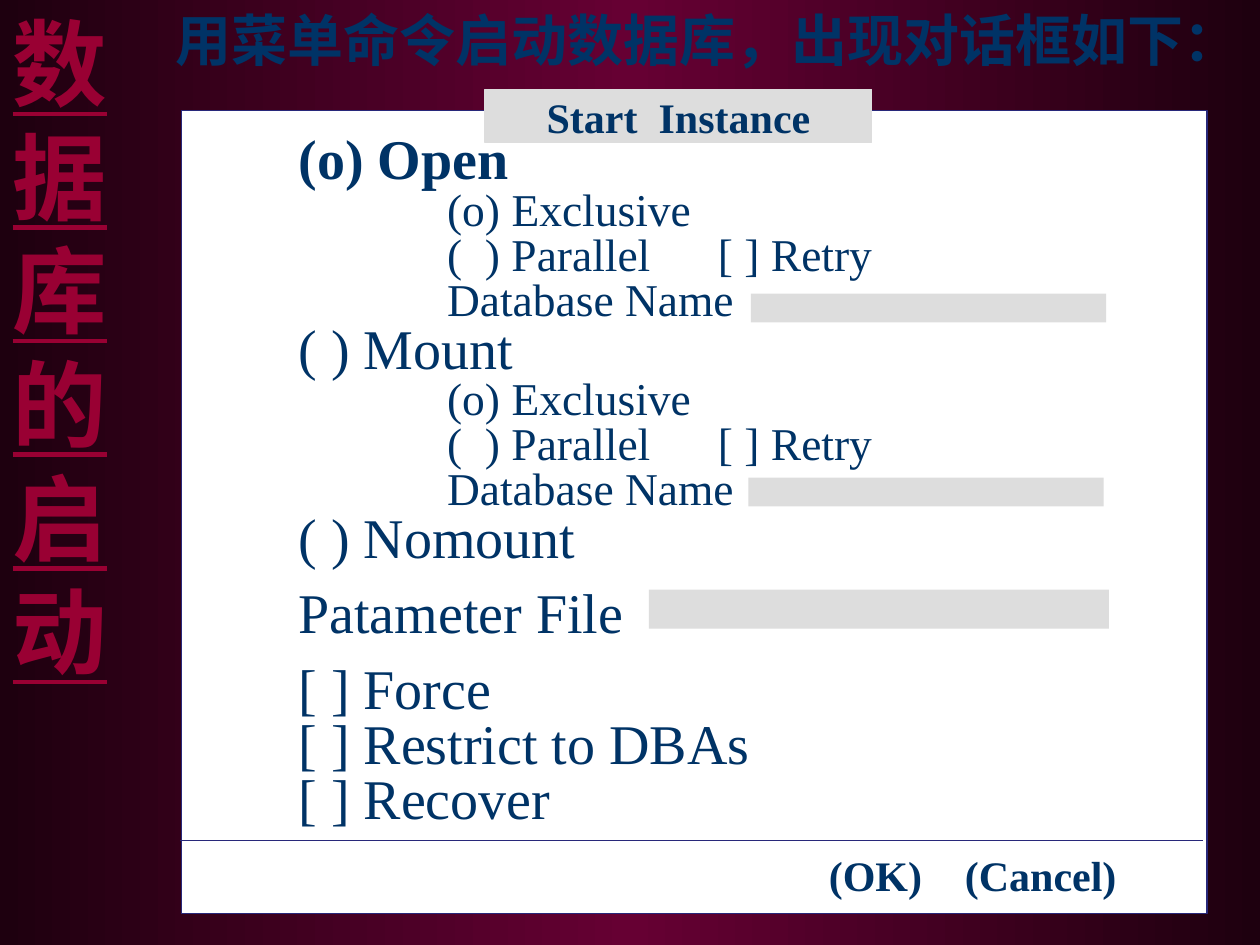
from dataclasses import dataclass

from lxml import etree
from pptx import Presentation
from pptx import util as u
from pptx.dml.color import RGBColor
from pptx.enum import shapes, text
from pptx.oxml import ns


@dataclass(frozen=True)
class Theme:
    edge: str = "1E000F"
    glow: str = "660033"
    title: str = "990033"
    ink: str = "003366"
    panel: str = "FFFFFF"
    field: str = "DDDDDD"
    rule: str = "28287A"
    cjk: str = "Noto Sans CJK SC"
    latin: str = "Times New Roman"
    title_size: float = 54
    large: float = 32
    medium: float = 26
    label: float = 24


THEME = Theme()
LINE_PITCH = {THEME.large: 31.4, THEME.medium: 25.6}
MODE_TABS = (1.18, 3.33)
MODE_OPTIONS = ["\t(o) Exclusive", "\t(  ) Parallel\t[ ] Retry", "\tDatabase Name"]


def add_node(parent, tag, **attributes):
    node = etree.SubElement(parent, ns.qn(tag))
    for name, value in attributes.items():
        node.set(name, str(value))
    return node


def paint_background(slide):
    fill = slide.background.fill
    fill.gradient()
    fill.gradient_angle = 0
    stops = slide.background._cSld.find(".//" + ns.qn("a:gsLst"))
    for stop in list(stops):
        stops.remove(stop)
    for position, color in ((0, THEME.edge), (50000, THEME.glow), (100000, THEME.edge)):
        stop = add_node(stops, "a:gs", pos=position)
        add_node(stop, "a:srgbClr", val=color)


def style(paragraph, size, color=THEME.ink, face=THEME.latin, bold=False, underline=False):
    for run in paragraph.runs:
        font = run.font
        font.name, font.size = face, u.Pt(size)
        font.bold, font.underline = bold, underline
        font.color.rgb = RGBColor.from_string(color)
        if face == THEME.cjk:
            add_node(run._r.get_or_add_rPr(), "a:ea", typeface=face)


def set_tabs(paragraph, *positions):
    tabs = add_node(paragraph._p.get_or_add_pPr(), "a:tabLst")
    for position in positions:
        add_node(tabs, "a:tab", pos=u.Inches(position), algn="l")


def place(holder, left, top, width, height):
    holder.left, holder.top = u.Inches(left), u.Inches(top)
    holder.width, holder.height = u.Inches(width), u.Inches(height)


def fill_title(title):
    place(title, 0, 0, 1.04, 5.48)
    frame = title.text_frame
    frame.text = "\v".join("数据库的启动")
    frame.auto_size = text.MSO_AUTO_SIZE.NONE
    frame.vertical_anchor = text.MSO_ANCHOR.TOP
    frame.margin_top = u.Inches(0.04)
    frame.margin_bottom = 0
    paragraph = frame.paragraphs[0]
    paragraph.alignment = text.PP_ALIGN.LEFT
    paragraph.line_spacing = u.Pt(64.9)
    style(paragraph, THEME.title_size, THEME.title, THEME.cjk, bold=True, underline=True)


def fill_heading(heading):
    place(heading, 1.29, 0.03, 8.7, 0.56)
    frame = heading.text_frame
    frame.text = "用菜单命令启动数据库，出现对话框如下："
    frame.auto_size = text.MSO_AUTO_SIZE.NONE
    frame.vertical_anchor = text.MSO_ANCHOR.MIDDLE
    frame.margin_top = frame.margin_bottom = 0
    paragraph = frame.paragraphs[0]
    paragraph.space_before = u.Pt(0)
    properties = paragraph._p.get_or_add_pPr()
    properties.set("marL", "0")
    properties.set("indent", "0")
    add_node(properties, "a:buNone")
    style(paragraph, THEME.large, face=THEME.cjk, bold=True)


def add_box(slide, left, top, width, height, fill=THEME.field, line=None):
    box = slide.shapes.add_shape(
        shapes.MSO_SHAPE.RECTANGLE, *map(u.Inches, (left, top, width, height))
    )
    box.shadow.inherit = False
    box.fill.solid()
    box.fill.fore_color.rgb = RGBColor.from_string(fill)
    if line:
        box.line.color.rgb = RGBColor.from_string(line)
        box.line.width = u.Pt(0.75)
    else:
        box.line.fill.background()
    return box


def add_caption(slide):
    caption = add_box(slide, 3.85, 0.71, 3.07, 0.42, line=THEME.field)
    frame = caption.text_frame
    frame.text = "Start  Instance"
    frame.margin_top, frame.margin_bottom = u.Inches(0.02), 0
    frame.vertical_anchor = text.MSO_ANCHOR.MIDDLE
    frame.paragraphs[0].alignment = text.PP_ALIGN.CENTER
    style(frame.paragraphs[0], THEME.label, bold=True)


def add_text(slide, left, top, width, height):
    frame = slide.shapes.add_textbox(*map(u.Inches, (left, top, width, height))).text_frame
    frame.word_wrap = True
    return frame


def add_options(slide):
    groups = [
        ("(o) Open", MODE_OPTIONS, 0),
        ("( ) Mount", MODE_OPTIONS, 0),
        ("( ) Nomount", [], 0),
        ("Patameter File", [], 11.8),
        ("[ ] Force", [], 11.8),
        ("[ ] Restrict to DBAs", [], 0),
        ("[ ] Recover", [], 0),
    ]
    frame = add_text(slide, 2.27, 1.03, 5.2, 5.6)
    paragraph = frame.paragraphs[0]
    for option, modes, gap in groups:
        for entry in [option, *modes]:
            if paragraph.runs:
                paragraph = frame.add_paragraph()
            paragraph.text = entry
            size = THEME.large if entry == option else THEME.medium
            if size == THEME.medium:
                set_tabs(paragraph, *MODE_TABS)
            paragraph.line_spacing = u.Pt(LINE_PITCH[size])
            if gap:
                paragraph.space_before = u.Pt(gap)
            style(paragraph, size, bold=entry == "(o) Open")


def add_divider(slide):
    divider = slide.shapes.add_connector(
        shapes.MSO_CONNECTOR.STRAIGHT, *map(u.Inches, (1.43, 6.67, 9.55, 6.67))
    )
    divider.line.color.rgb = RGBColor.from_string(THEME.rule)
    divider.line.width = u.Pt(0.75)
    add_node(divider._element.spPr, "a:effectLst")


def add_buttons(slide):
    frame = add_text(slide, 6.48, 6.69, 2.6, 0.5)
    frame.vertical_anchor = text.MSO_ANCHOR.MIDDLE
    buttons = frame.paragraphs[0]
    buttons.text = "(OK)\t(Cancel)"
    set_tabs(buttons, 1.08)
    style(buttons, THEME.label, bold=True)


def main():
    deck = Presentation()
    deck.slide_width, deck.slide_height = u.Inches(10), u.Inches(7.5)
    slide = deck.slides.add_slide(deck.slide_layouts[1])
    paint_background(slide)
    fill_title(slide.shapes.title)
    fill_heading(slide.placeholders[1])
    add_box(slide, 1.44, 0.88, 8.14, 6.37, THEME.panel, THEME.rule)
    add_caption(slide)
    add_options(slide)
    for field in ((5.96, 2.33, 2.82, 0.23), (5.94, 3.79, 2.82, 0.23), (5.15, 4.68, 3.65, 0.31)):
        add_box(slide, *field)
    add_divider(slide)
    add_buttons(slide)
    deck.save("out.pptx")


if __name__ == "__main__":
    main()
